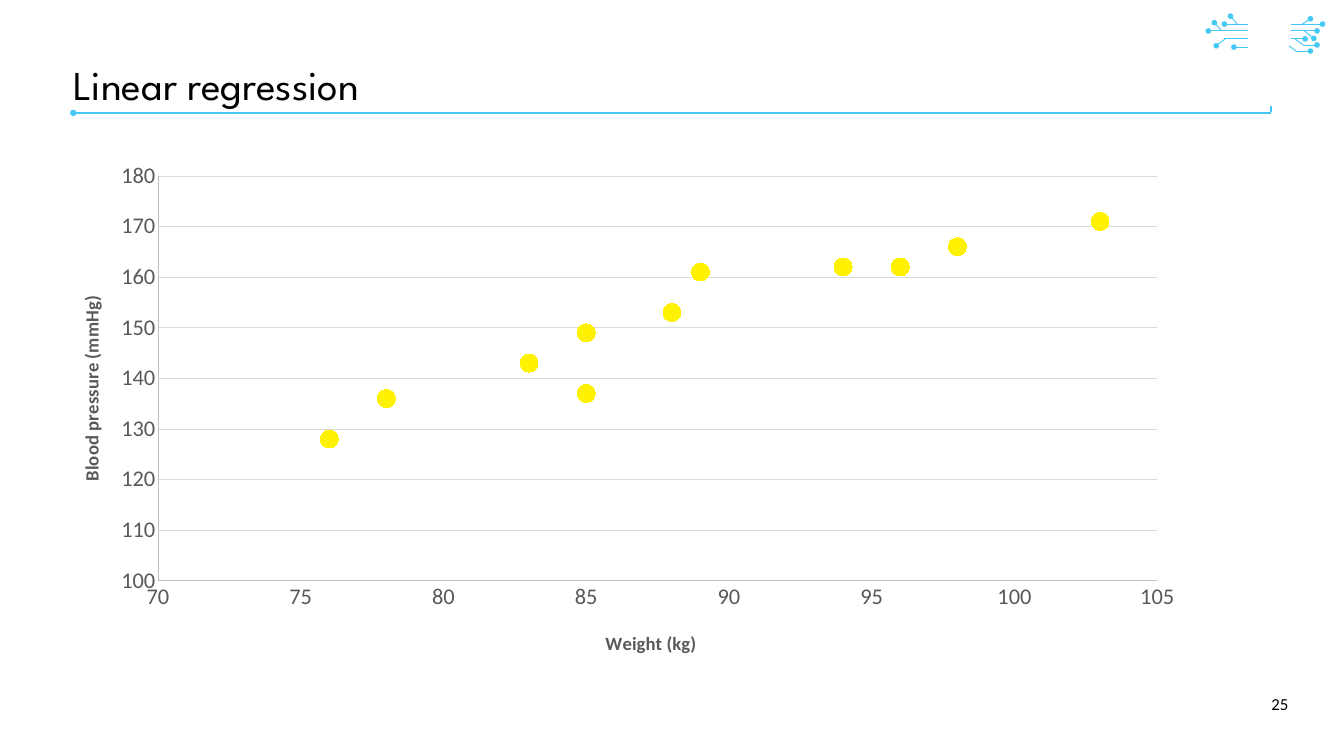
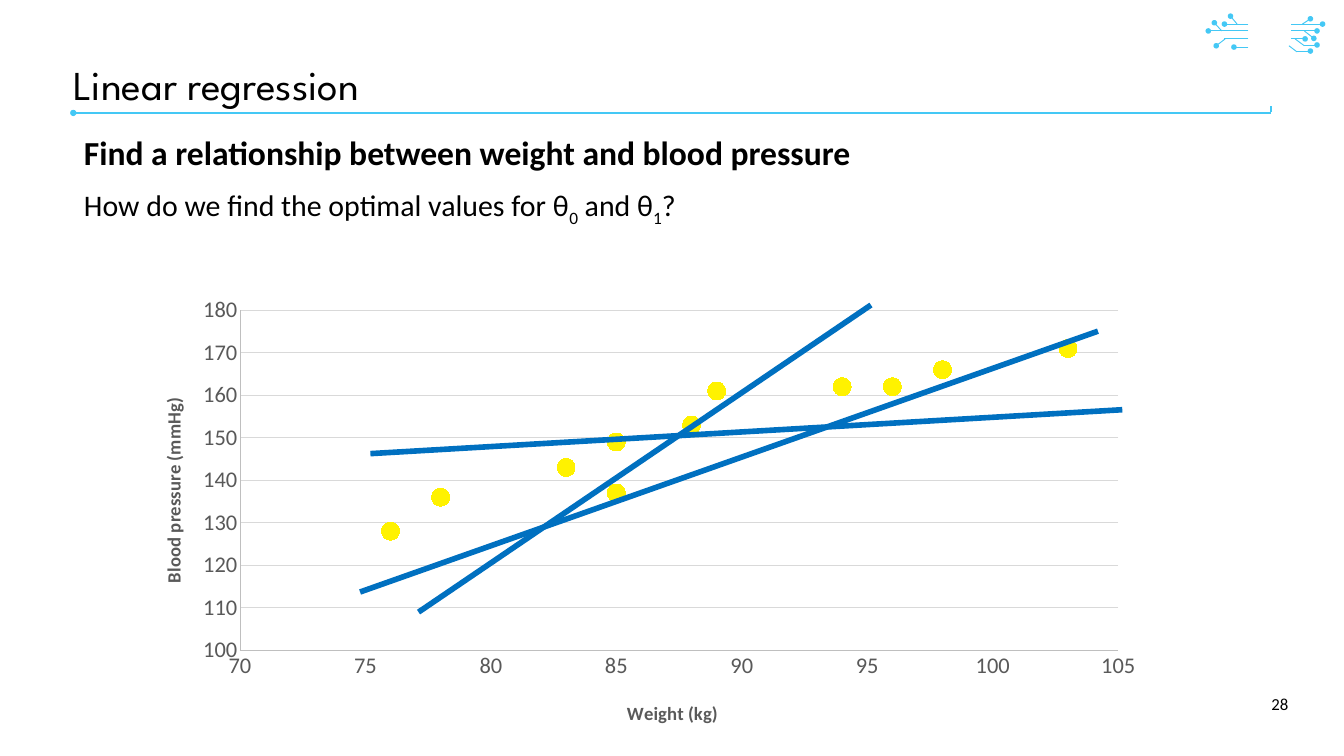
from lxml.etree import SubElement
from pptx import Presentation
from pptx.chart.data import XyChartData
from pptx.dml.color import RGBColor
from pptx.enum.chart import XL_CHART_TYPE as ChartType, XL_MARKER_STYLE as MarkerStyle, XL_TICK_MARK as TickMark
from pptx.enum.shapes import MSO_CONNECTOR as Connector
from pptx.enum.text import MSO_ANCHOR as Anchor, MSO_AUTO_SIZE as AutoSize, PP_ALIGN as Align
from pptx.oxml import parse_xml
from pptx.oxml.ns import nsdecls, qn
from pptx.util import Cm, Pt

COLORS = {
    "accent": "44C8F5",
    "text": "000000",
    "axis_text": "595959",
    "axis_line": "BFBFBF",
    "grid": "D9D9D9",
    "point": "FFF200",
    "fit": "0070C0",
}
BODY_FONT = "Calibri"
TITLE_FONT = "League Spartan"
TITLE_ONLY, TITLE_AND_BODY = 5, 1

TITLE_BOX = (2.77, 2.46, 41.63, 1.75)
RULE_BOX = (2.77, 3.99, 45.26, 0.28)
NUMBER_BOX = (46.18, 25.86, 2.77, 1.52)
CIRCUIT_BOX = (45.67, 0.61, 4.32, 1.35)
BODY_BOX = (2.92, 5.05, 46.05, 16.97)
LARGE_CHART_BOX = (2.18, 5.77, 43.03, 19.43)
SMALL_CHART_BOX = (5.28, 10.85, 38.46, 16.97)

PLOT_MARGINS = {"left": 3.79, "top": 0.88, "right": 1.47, "bottom": 3.24}

TRACES_WITH_NODE = [
    (1.52, 0.3, 0.61, 0.3), (1.52, 0.56, 0, 0.56), (0.64, 0.86, 0.3, 1.12),
    (1.52, 1.17, 0.97, 1.17), (1.09, 0.3, 0.84, 0), (0.51, 0.56, 0.23, 0.25),
    (3.12, 0.56, 4.11, 0.56), (3.61, 1.09, 4.11, 1.09), (3.12, 0.86, 3.66, 0.86),
    (3.63, 0.56, 3.99, 0.84), (3.12, 0.3, 4.32, 0.3), (3.35, 1.32, 3.86, 1.32),
    (3.56, 0.3, 3.86, 0.1),
]
PLAIN_TRACES = [(1.52, 0.86, 0.61, 0.86), (3.63, 1.12, 3.28, 0.86), (3.35, 1.35, 3.05, 1.12)]
CANDIDATE_FITS = [
    (8.33, 11.53, 36.22, 1.67), (10.54, 12.29, 27.64, 0.68), (8.72, 6.3, 37.14, 4.64),
]
MEASUREMENTS = [
    (78, 136), (83, 143), (88, 153), (96, 162), (89, 161), (103, 171),
    (85, 137), (85, 149), (94, 162), (76, 128), (98, 166),
]
QUESTION = [
    ("How do we find the optimal values for θ", False), ("0", True),
    (" and θ", False), ("1", True), ("?", False),
]


def rgb(name):
    """Return the named colour."""
    return RGBColor.from_string(COLORS[name])


def style_font(font, size, color="text", name=BODY_FONT, bold=False):
    """Set the typeface, size, colour and weight of a font."""
    font.name, font.size, font.bold = name, Pt(size), bold
    font.color.rgb = rgb(color)


def place(shape, box):
    """Move a shape to a box given in centimetres."""
    shape.left, shape.top, shape.width, shape.height = map(Cm, box)


def add_line(shapes, box, ends, width, color="accent", head=None, tail=None):
    """Draw a line whose ends are measured from the box's corner."""
    left, top = box[:2]
    x1, y1, x2, y2 = ends
    line = shapes.add_connector(
        Connector.STRAIGHT, Cm(left + x1), Cm(top + y1), Cm(left + x2), Cm(top + y2))
    line.line.color.rgb = rgb(color)
    line.line.width = Pt(width)
    outline = line.line._get_or_add_ln()
    for tag, kind in (("a:headEnd", head), ("a:tailEnd", tail)):
        if kind:
            SubElement(outline, qn(tag), type=kind)
    SubElement(line._element.spPr, qn("a:effectLst"))


def add_circuit(slide, box):
    """Draw the circuit traces in the corner."""
    group = slide.shapes.add_group_shape()
    for trace in TRACES_WITH_NODE:
        add_line(group.shapes, box, trace, 1, tail="oval")
    for trace in PLAIN_TRACES:
        add_line(group.shapes, box, trace, 1)


def add_title_rule(slide, box):
    """Draw the line under the title with its upturned end."""
    width, height = box[2:]
    add_line(slide.shapes, box, (0, height, width, height), 2.25, head="oval")
    add_line(slide.shapes, box, (width, height - 0.03, width, 0), 2.25)


def add_title(slide, box, text):
    """Fill the title placeholder."""
    title = slide.shapes.title
    place(title, box)
    frame = title.text_frame
    frame.margin_left = frame.margin_top = frame.margin_right = frame.margin_bottom = 0
    frame.vertical_anchor = Anchor.TOP
    frame.auto_size = AutoSize.NONE
    paragraph = frame.paragraphs[0]
    paragraph.text = text
    paragraph.alignment = Align.LEFT
    paragraph.line_spacing = 0.9
    style_font(paragraph.font, 44, name=TITLE_FONT)


def add_number(slide, box, number):
    """Write the slide number."""
    frame = slide.shapes.add_textbox(*map(Cm, box)).text_frame
    frame.word_wrap = True
    frame.vertical_anchor = Anchor.MIDDLE
    paragraph = frame.paragraphs[0]
    paragraph.text = str(number)
    paragraph.alignment = Align.RIGHT
    style_font(paragraph.font, 18)


def add_body(slide, box):
    """Fill the body placeholder with the heading and the question."""
    body = slide.placeholders[1]
    place(body, box)
    frame = body.text_frame
    frame.auto_size = AutoSize.NONE
    heading, question = frame.paragraphs[0], frame.add_paragraph()
    heading.text = "Find a relationship between weight and blood pressure"
    for text, subscript in QUESTION:
        run = question.add_run()
        run.text = text
        if subscript:
            run._r.get_or_add_rPr().set("baseline", "-25000")
    for paragraph, size, space, bold in ((heading, 36, 0, True), (question, 32, 15, False)):
        paragraph.line_spacing = 0.9
        paragraph.space_before = Pt(space)
        properties = paragraph._p.get_or_add_pPr()
        properties.set("marL", "0")
        properties.set("indent", "0")
        SubElement(properties, qn("a:buNone"))
        style_font(paragraph.font, size, bold=bold)


def set_layout(parent, index, **values):
    """Give a chart part a manual layout in fractions of the chart."""
    for old in parent.findall(qn("c:layout")):
        parent.remove(old)
    layout = parse_xml(f"<c:layout {nsdecls('c')}><c:manualLayout/></c:layout>")
    for tag, value in values.items():
        text = value if isinstance(value, str) else f"{value:.4f}"
        SubElement(layout[0], qn(f"c:{tag}"), val=text)
    parent.insert(index, layout)


def style_axis(axis, title, low, high, step):
    """Set the scale, title and look of an axis."""
    axis.minimum_scale, axis.maximum_scale, axis.major_unit = low, high, step
    axis.major_tick_mark = axis.minor_tick_mark = TickMark.NONE
    axis.format.line.color.rgb = rgb("axis_line")
    axis.format.line.width = Pt(0.75)
    style_font(axis.tick_labels.font, 24, "axis_text")
    paragraph = axis.axis_title.text_frame.paragraphs[0]
    paragraph.text = title
    style_font(paragraph.font, 20, "axis_text", bold=True)


def add_scatter(slide, box):
    """Plot blood pressure against weight."""
    data = XyChartData()
    points = data.add_series("Series 1")
    for weight, pressure in MEASUREMENTS:
        points.add_data_point(weight, pressure)
    chart = slide.shapes.add_chart(ChartType.XY_SCATTER, *map(Cm, box), data).chart
    chart.has_legend = chart.has_title = False
    style_font(chart.font, 10)

    plot = chart.plots[0]
    plot.vary_by_categories = False
    series = plot.series[0]
    series.format.line.fill.background()
    series.marker.style, series.marker.size = MarkerStyle.CIRCLE, 19
    series.marker.format.fill.solid()
    series.marker.format.fill.fore_color.rgb = rgb("point")
    series.marker.format.line.color.rgb = rgb("point")

    weight_axis, pressure_axis = chart.category_axis, chart.value_axis
    style_axis(weight_axis, "Weight (kg)", 70, 105, 5)
    style_axis(pressure_axis, "Blood pressure (mmHg)", 100, 180, 10)
    weight_axis.has_major_gridlines = False
    pressure_axis.has_major_gridlines = True
    grid = pressure_axis.major_gridlines.format.line
    grid.color.rgb, grid.width = rgb("grid"), Pt(0.75)

    width, height = box[2:]
    left, top = PLOT_MARGINS["left"], PLOT_MARGINS["top"]
    plot_width = width - left - PLOT_MARGINS["right"]
    plot_height = height - top - PLOT_MARGINS["bottom"]
    edge = {"xMode": "edge", "yMode": "edge"}
    set_layout(chart.element.chart.plotArea, 0, layoutTarget="inner", **edge,
               x=left / width, y=top / height, w=plot_width / width, h=plot_height / height)
    set_layout(weight_axis.axis_title.element, 1, **edge,
               x=(left + plot_width / 2 - 2.1) / width, y=(top + plot_height + 1.75) / height)
    set_layout(pressure_axis.axis_title.element, 1, **edge,
               x=0.65 / width, y=(top + plot_height / 2 - 3.25) / height)


def add_candidate_fits(slide, box):
    """Draw the possible regression lines over the chart."""
    for ends in CANDIDATE_FITS:
        add_line(slide.shapes, box, ends, 6, "fit")


def add_base_slide(presentation, layout, number):
    """Add a slide with the shared title, rule, circuit and number."""
    slide = presentation.slides.add_slide(presentation.slide_layouts[layout])
    add_circuit(slide, CIRCUIT_BOX)
    add_title_rule(slide, RULE_BOX)
    add_title(slide, TITLE_BOX, "Linear regression")
    add_number(slide, NUMBER_BOX, number)
    return slide


def add_data_slide(presentation):
    """Add the slide that shows the measurements."""
    slide = add_base_slide(presentation, TITLE_ONLY, 25)
    add_scatter(slide, LARGE_CHART_BOX)


def add_question_slide(presentation):
    """Add the slide that compares candidate lines."""
    slide = add_base_slide(presentation, TITLE_AND_BODY, 28)
    add_body(slide, BODY_BOX)
    add_scatter(slide, SMALL_CHART_BOX)
    add_candidate_fits(slide, SMALL_CHART_BOX)


def main():
    """Build and save the presentation."""
    presentation = Presentation()
    presentation.slide_width, presentation.slide_height = Cm(50.8), Cm(28.58)
    add_data_slide(presentation)
    add_question_slide(presentation)
    presentation.save("out.pptx")


if __name__ == "__main__":
    main()
